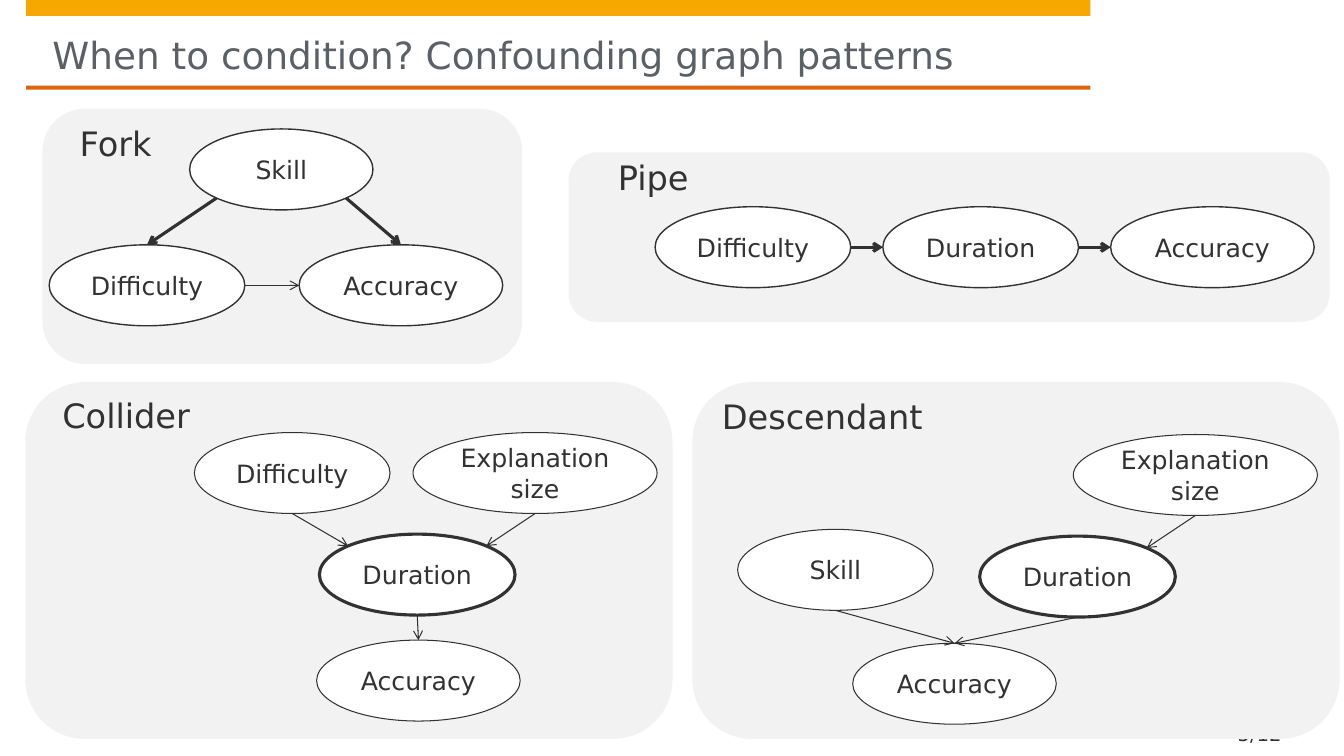
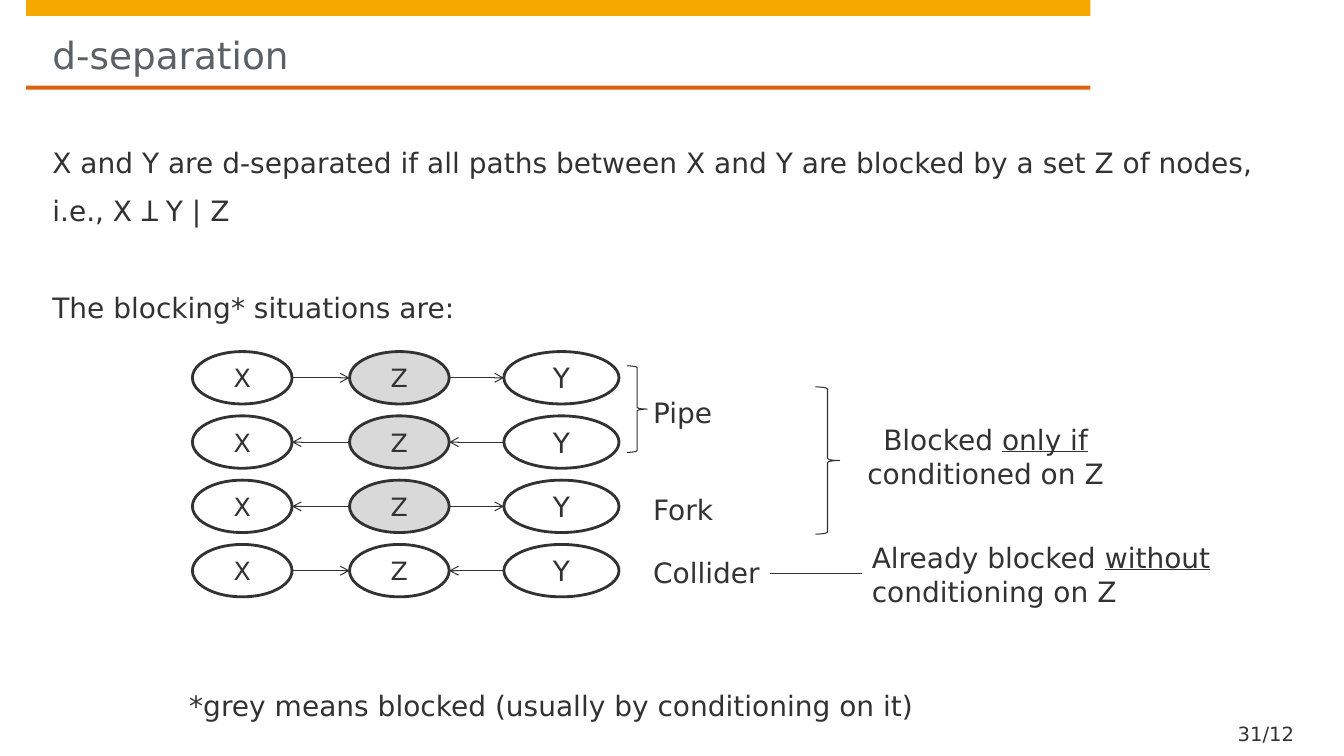
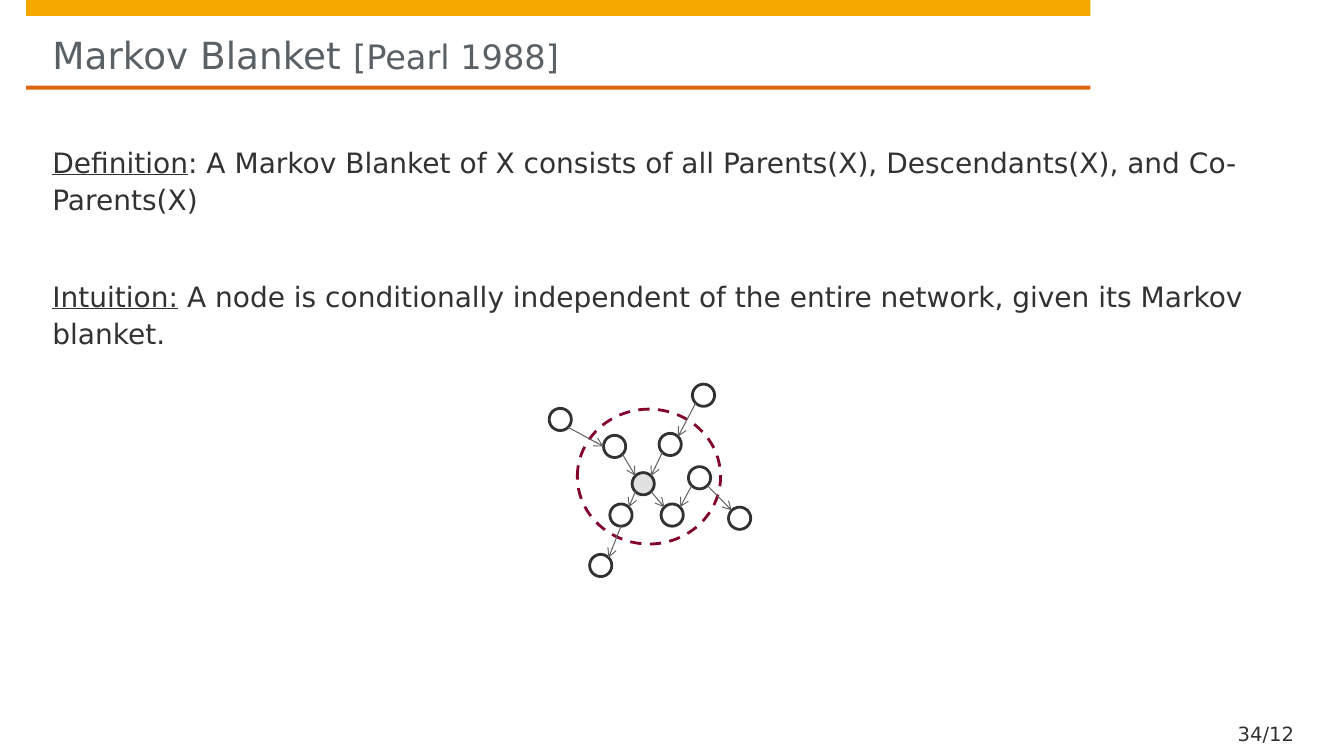
import dataclasses
import math

import lxml.etree
import pptx
import pptx.dml.color
import pptx.enum.dml
import pptx.enum.shapes
import pptx.enum.text
import pptx.oxml.ns
import pptx.util

Cm = pptx.util.Cm
Pt = pptx.util.Pt
SHAPE = pptx.enum.shapes.MSO_SHAPE
CENTER = pptx.enum.text.PP_ALIGN.CENTER
MIDDLE = pptx.enum.text.MSO_ANCHOR.MIDDLE
BOTTOM = pptx.enum.text.MSO_ANCHOR.BOTTOM

FONT = "DejaVu Sans"
INK = "323232"
ARROW = "313131"
SOFT_ARROW = "656565"
TITLE = "5A6166"
BAND = "F6A800"
RULE = "DD640C"
PANEL = "F2F2F2"
WHITE = "FFFFFF"
BLOCKED = "D9D9D9"
HUB = "E1E1E1"
BLANKET = "83042B"

DIAGONAL = math.sqrt(0.5)
SIDES = {
    "top": (0, -1),
    "bottom": (0, 1),
    "left": (-1, 0),
    "right": (1, 0),
    "top left": (-DIAGONAL, -DIAGONAL),
    "top right": (DIAGONAL, -DIAGONAL),
    "bottom left": (-DIAGONAL, DIAGONAL),
    "bottom right": (DIAGONAL, DIAGONAL),
}


@dataclasses.dataclass
class Run:
    text: str
    size: float = 20
    underline: bool = False
    color: str = INK


def rgb(color):
    return pptx.dml.color.RGBColor.from_string(color)


def lengths(values):
    return [Cm(value) for value in values]


def write_runs(paragraph, runs):
    for item in runs:
        run = paragraph.add_run()
        run.text = item.text
        run.font.name = FONT
        run.font.size = Pt(item.size)
        run.font.color.rgb = rgb(item.color)
        if item.underline:
            run.font.underline = True


def add_text(slide, box, runs, margins=(0.25, 0.13, 0.25, 0.13), align=None, anchor=None):
    shape = slide.shapes.add_textbox(*lengths(box))
    frame = shape.text_frame
    frame.word_wrap = True
    frame.margin_left, frame.margin_top, frame.margin_right, frame.margin_bottom = lengths(margins)
    if anchor is not None:
        frame.vertical_anchor = anchor
    paragraph = frame.paragraphs[0]
    paragraph.alignment = align
    write_runs(paragraph, runs)
    return frame


def add_body(slide, paragraphs):
    frame = add_text(slide, (1.32, 3.56, 31.88, 14.22), [], (0, 0, 0, 0))
    for index, (space_before, runs) in enumerate(paragraphs):
        paragraph = frame.add_paragraph() if index else frame.paragraphs[0]
        paragraph.line_spacing = Pt(26.7)
        paragraph.space_before = Pt(space_before)
        paragraph.space_after = Pt(4)
        write_runs(paragraph, runs)


def add_shape(slide, kind, box, fill=None, line=None, width=0.75):
    shape = slide.shapes.add_shape(kind, *lengths(box))
    shape.shadow.inherit = False
    if fill:
        shape.fill.solid()
        shape.fill.fore_color.rgb = rgb(fill)
    else:
        shape.fill.background()
    if line:
        shape.line.color.rgb = rgb(line)
        shape.line.width = Pt(width)
    else:
        shape.line.fill.background()
    return shape


def add_node(slide, box, outline, text="", fill=WHITE, size=18):
    node = add_shape(slide, SHAPE.OVAL, box, fill, INK, outline)
    if text:
        frame = node.text_frame
        frame.word_wrap = True
        frame.vertical_anchor = MIDDLE
        frame.paragraphs[0].alignment = CENTER
        write_runs(frame.paragraphs[0], [Run(text, size)])
    return node


def add_line(slide, start, end, color, width=0.75, arrow=False):
    connector = slide.shapes.add_connector(
        pptx.enum.shapes.MSO_CONNECTOR.STRAIGHT, *start, *end)
    connector.line.color.rgb = rgb(color)
    connector.line.width = Pt(width)
    properties = connector.element.spPr
    if arrow:
        outline = properties.find(pptx.oxml.ns.qn("a:ln"))
        lxml.etree.SubElement(outline, pptx.oxml.ns.qn("a:tailEnd"), type="arrow")
    lxml.etree.SubElement(properties, pptx.oxml.ns.qn("a:effectLst"))


def edge_point(node, side):
    across, down = SIDES[side]
    return (round(node.left + node.width * (1 + across) / 2),
            round(node.top + node.height * (1 + down) / 2))


def link(slide, source, source_side, target, target_side, color=ARROW, width=0.75):
    add_line(slide, edge_point(source, source_side), edge_point(target, target_side),
             color, width, arrow=True)


def add_base(presentation, title_runs, page):
    slide = presentation.slides.add_slide(presentation.slide_layouts[6])
    add_shape(slide, SHAPE.RECTANGLE, (0.66, 0, 26.82, 0.4), BAND)
    add_shape(slide, SHAPE.RECTANGLE, (0.66, 2.16, 26.82, 0.1), RULE)
    add_text(slide, (30.89, 18.08, 2.31, 0.71), [Run(f"{page}/12", 14)],
             (0.3, 0, 0, 0), anchor=BOTTOM)
    add_text(slide, (1.32, 0.41, 25.48, 1.55), title_runs, (0, 0.41, 0, 0))
    return slide


def add_pattern(slide, name, panel, label, nodes, links):
    add_shape(slide, SHAPE.ROUNDED_RECTANGLE, panel, PANEL)
    ovals = {}
    for text, (left, top, width, outline) in nodes.items():
        ovals[text] = add_node(slide, (left, top, width, 2.04), outline, text)
    for source, source_side, target, target_side, width in links:
        link(slide, ovals[source], source_side, ovals[target], target_side, width=width)
    frame = add_text(slide, (*label, 1.42), [Run(name, 24)], (0, 0, 0, 0))
    frame.paragraphs[0].space_before = Pt(3)
    frame.paragraphs[0].space_after = Pt(3)


def build_patterns(presentation):
    slide = add_base(presentation, [
        Run("When to condition? Confounding graph patterns", 26.7, color=TITLE)], 5)
    add_pattern(
        slide, "Fork", (1.07, 2.74, 12.09, 6.43), (2.01, 3.1, 4.83),
        {"Skill": (4.78, 3.25, 4.62, 1),
         "Difficulty": (1.24, 6.17, 4.93, 1),
         "Accuracy": (7.54, 6.17, 5.13, 1)},
        [("Skill", "bottom left", "Difficulty", "top", 2.25),
         ("Skill", "bottom right", "Accuracy", "top", 2.25),
         ("Difficulty", "right", "Accuracy", "left", 0.75)])
    add_pattern(
        slide, "Pipe", (14.33, 3.84, 19.18, 4.27), (15.57, 3.96, 2.77),
        {"Difficulty": (16.51, 5.21, 4.93, 1),
         "Duration": (22.25, 5.21, 4.93, 1),
         "Accuracy": (27.99, 5.21, 5.13, 1)},
        [("Difficulty", "right", "Duration", "left", 2.25),
         ("Duration", "right", "Accuracy", "left", 2.25)])
    add_pattern(
        slide, "Collider", (0.64, 9.63, 16.31, 8.99), (1.57, 9.96, 4.83),
        {"Duration": (8.05, 13.46, 4.93, 2.25),
         "Difficulty": (4.9, 10.9, 4.93, 0.75),
         "Explanation size": (10.41, 10.9, 6.15, 0.75),
         "Accuracy": (7.98, 16.13, 5.13, 0.75)},
        [("Difficulty", "bottom", "Duration", "top left", 0.75),
         ("Explanation size", "bottom", "Duration", "top right", 0.75),
         ("Duration", "bottom", "Accuracy", "top", 0.75)])
    add_pattern(
        slide, "Descendant", (17.45, 9.63, 16.31, 8.99), (18.19, 9.98, 5.84),
        {"Duration": (24.69, 13.51, 4.93, 2.25),
         "Skill": (18.59, 13.34, 4.93, 0.75),
         "Explanation size": (27.05, 10.95, 6.15, 0.75),
         "Accuracy": (21.49, 16.21, 5.13, 0.75)},
        [("Skill", "bottom", "Accuracy", "top", 0.75),
         ("Explanation size", "bottom", "Duration", "top right", 0.75),
         ("Duration", "bottom", "Accuracy", "top", 0.75)])


def link_row(slide, left_node, right_node, direction):
    if direction == ">":
        link(slide, left_node, "right", right_node, "left", INK)
    else:
        link(slide, right_node, "left", left_node, "right", INK)


def build_separation(presentation):
    slide = add_base(presentation, [Run("d-separation", 26.7, color=TITLE)], 31)
    add_body(slide, [
        (4, [Run("X and Y are d-separated if all paths between X and Y "
                 "are blocked by a set Z of nodes,")]),
        (4, [Run("i.e., X \ua4d5 Y | Z")]),
        (38.7, [Run("The blocking* situations are:")]),
    ])
    rows = [(">>", BLOCKED), ("<<", BLOCKED), ("<>", BLOCKED), ("><", WHITE)]
    for index, (directions, middle_fill) in enumerate(rows):
        top = 8.86 + 1.62 * index
        x_node = add_node(slide, (4.85, top, 2.51, 1.32), 2, "X")
        z_node = add_node(slide, (8.81, top, 2.51, 1.32), 2, "Z", middle_fill)
        y_node = add_node(slide, (12.7, top, 2.9, 1.32), 2, "Y", size=20)
        link_row(slide, x_node, z_node, directions[0])
        link_row(slide, z_node, y_node, directions[1])
    for name, top, width in [("Pipe", 9.83, 2.51), ("Fork", 12.29, 2.51),
                             ("Collider", 13.87, 4.5)]:
        add_text(slide, (16.21, top, width, 1.12), [Run(name)])
    add_text(slide, (21.72, 13.49, 10.21, 1.96), [
        Run("Already blocked "), Run("without", underline=True), Run(" conditioning on Z")])
    add_text(slide, (21.36, 10.52, 6.96, 1.96), [
        Run("Blocked "), Run("only if ", underline=True), Run("conditioned on Z")], align=CENTER)
    for brace in [(15.8, 9.22, 0.51, 2.18), (20.55, 9.75, 0.61, 3.71)]:
        add_shape(slide, SHAPE.RIGHT_BRACE, brace, line=ARROW)
    add_line(slide, lengths((19.41, 14.45)), lengths((21.72, 14.45)), ARROW)
    add_text(slide, (4.52, 17.22, 21.23, 1.12), [
        Run("*grey means blocked (usually by conditioning on it)")])


def build_blanket(presentation):
    slide = add_base(presentation, [
        Run("Markov Blanket ", 26.7, color=TITLE), Run("[Pearl 1988]", 24, color=TITLE)], 34)
    add_body(slide, [
        (4, [Run("Definition", underline=True),
             Run(": A Markov Blanket of X consists of all Parents(X), "
                 "Descendants(X), and Co-Parents(X)")]),
        (38.7, [Run("Intuition:", underline=True),
                Run(" A node is conditionally independent of the entire network, "
                    "given its Markov blanket.")]),
    ])
    blanket = add_shape(slide, SHAPE.OVAL, (14.55, 10.31, 3.61, 3.4), line=BLANKET, width=2)
    blanket.line.dash_style = pptx.enum.dml.MSO_LINE_DASH_STYLE.DASH
    positions = {
        "hub": (15.93, 11.91),
        "left parent": (15.21, 10.97),
        "right parent": (16.61, 10.92),
        "left child": (15.37, 12.7),
        "right child": (16.66, 12.7),
        "co-parent": (17.35, 11.76),
        "left grandparent": (13.84, 10.29),
        "right grandparent": (17.45, 9.68),
        "grandchild": (14.86, 13.97),
        "outer child": (18.36, 12.78),
    }
    nodes = {name: add_node(slide, (*position, 0.56, 0.56), 2,
                            fill=HUB if name == "hub" else WHITE)
             for name, position in positions.items()}
    for source, source_side, target, target_side in [
        ("left grandparent", "bottom right", "left parent", "left"),
        ("right grandparent", "bottom left", "right parent", "top right"),
        ("left parent", "bottom right", "hub", "top left"),
        ("right parent", "bottom left", "hub", "top right"),
        ("co-parent", "bottom left", "right child", "top right"),
        ("co-parent", "bottom right", "outer child", "top left"),
        ("hub", "bottom right", "right child", "top left"),
        ("hub", "bottom left", "left child", "top right"),
        ("left child", "bottom", "grandchild", "top right"),
    ]:
        link(slide, nodes[source], source_side, nodes[target], target_side, SOFT_ARROW)


def main():
    presentation = pptx.Presentation()
    presentation.slide_width = Cm(33.87)
    presentation.slide_height = Cm(19.05)
    build_patterns(presentation)
    build_separation(presentation)
    build_blanket(presentation)
    presentation.save("out.pptx")


main()
